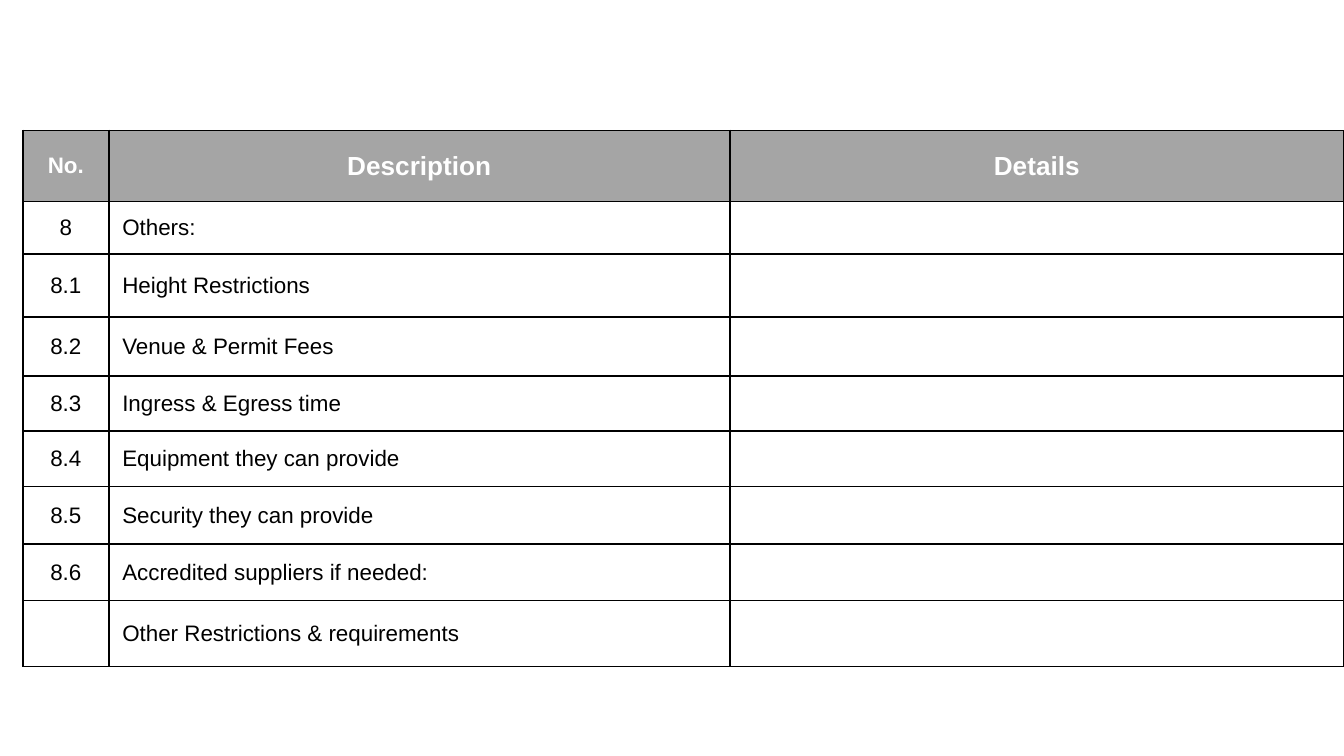
import pptx
import pptx.dml.color
import pptx.enum.text
import pptx.oxml
import pptx.oxml.ns
import pptx.util


def colour(code):
    return pptx.dml.color.RGBColor.from_string(code)


def add_borders(cell, code, points):
    properties = cell._tc.get_or_add_tcPr()
    for position, side in enumerate(("lnL", "lnR", "lnT", "lnB")):
        line = pptx.oxml.parse_xml(
            f'<a:{side} {pptx.oxml.ns.nsdecls("a")} w="{pptx.util.Pt(points)}">'
            f'<a:solidFill><a:srgbClr val="{code}"/></a:solidFill></a:{side}>'
        )
        properties.insert(position, line)


column_widths = [0.64, 4.62, 4.57]
row_heights = [0.53, 0.39, 0.47, 0.44, 0.41, 0.41, 0.43, 0.42, 0.49]
rows = [
    ("No.", "Description", "Details"),
    ("8", "Others:", ""),
    ("8.1", "Height Restrictions", ""),
    ("8.2", "Venue & Permit Fees", ""),
    ("8.3", "Ingress & Egress time", ""),
    ("8.4", "Equipment they can provide", ""),
    ("8.5", "Security they can provide", ""),
    ("8.6", "Accredited suppliers if needed:", ""),
    ("", "Other Restrictions & requirements", ""),
]

deck = pptx.Presentation()
deck.slide_width = pptx.util.Inches(10)
deck.slide_height = deck.slide_width * 9 // 16
page = deck.slides.add_slide(deck.slide_layouts[6])

table_width = pptx.util.Inches(sum(column_widths))
frame = page.shapes.add_table(
    len(rows), len(column_widths),
    deck.slide_width - table_width, pptx.util.Inches(0.97),
    table_width, pptx.util.Inches(sum(row_heights)),
)
table = frame.table
table.horz_banding = False
for column, width in zip(table.columns, column_widths):
    column.width = pptx.util.Inches(width)
for row, height in zip(table.rows, row_heights):
    row.height = pptx.util.Inches(height)

for row_number, texts in enumerate(rows):
    header = row_number == 0
    for column_number, text in enumerate(texts):
        cell = table.cell(row_number, column_number)
        cell.fill.solid()
        cell.fill.fore_color.rgb = colour("A5A5A5" if header else "FFFFFF")
        add_borders(cell, "000000", 1)
        cell.margin_top = cell.margin_bottom = pptx.util.Inches(0.03)
        cell.vertical_anchor = pptx.enum.text.MSO_ANCHOR.MIDDLE
        if not text:
            continue
        para = cell.text_frame.paragraphs[0]
        if header or column_number == 0:
            para.alignment = pptx.enum.text.PP_ALIGN.CENTER
        span = para.add_run()
        span.text = text
        span.font.name = "Arial"
        span.font.size = pptx.util.Pt(14 if header and column_number else 12)
        span.font.bold = header
        span.font.color.rgb = colour("FFFFFF" if header else "000000")

deck.save("out.pptx")
